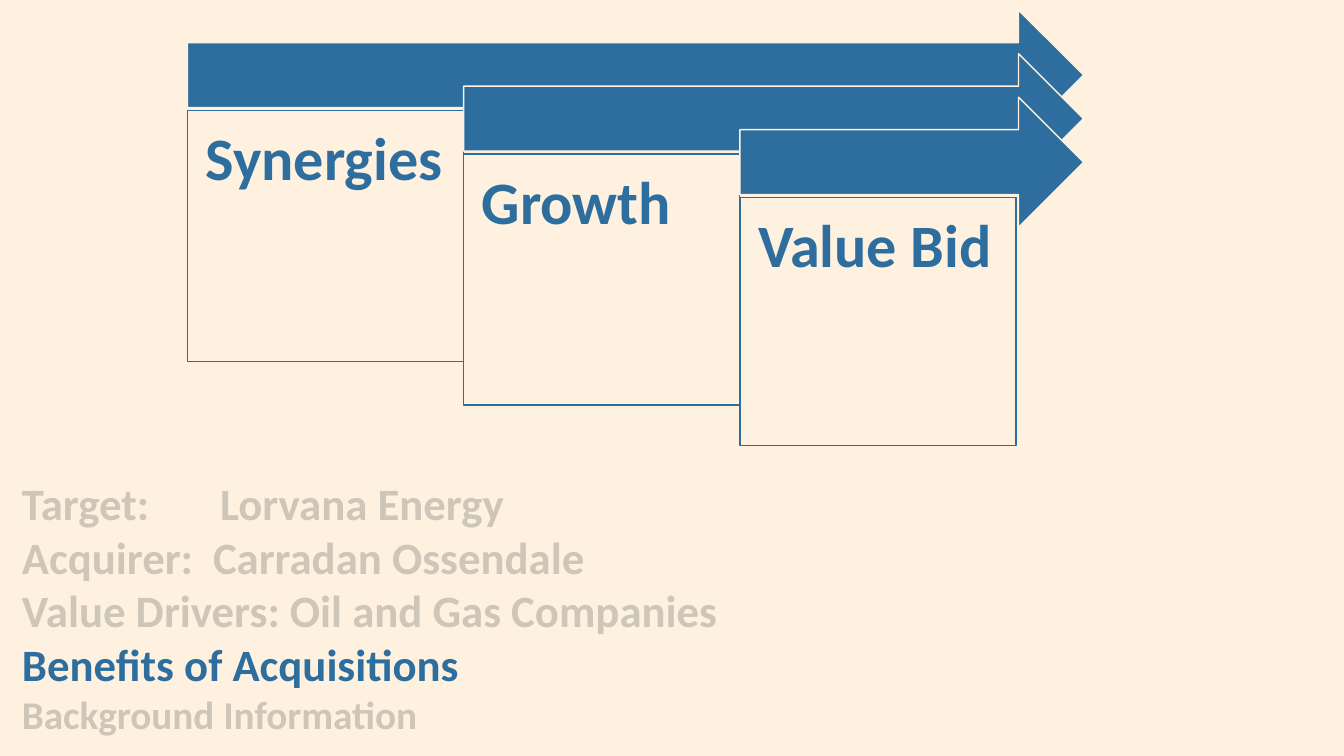
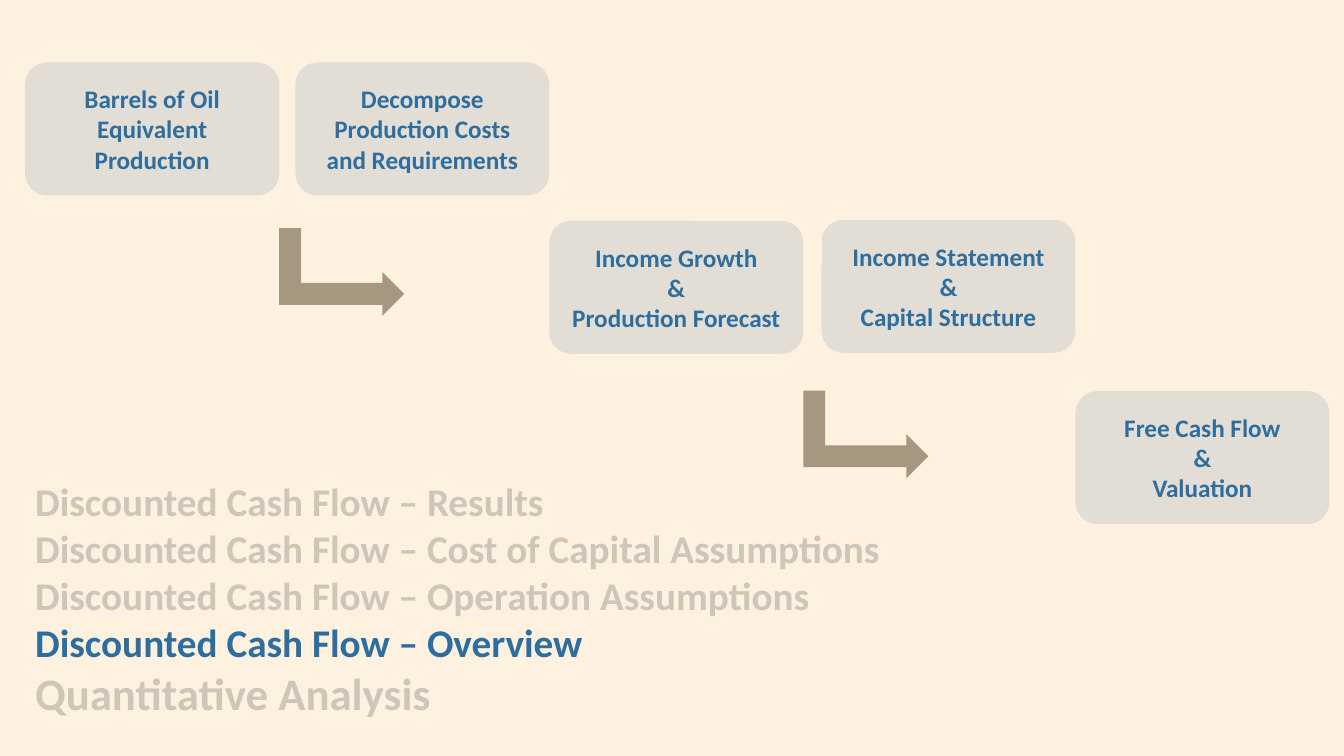
from pptx import Presentation
from pptx.dml.color import RGBColor
from pptx.enum import shapes, text
from pptx.oxml import parse_xml
from pptx.oxml.ns import nsdecls
from pptx.util import Pt

COLORS = {"page": "FFF1E0", "accent": "2E6E9E", "faded": "CEC6B9",
          "card": "E2DDD5", "elbow": "A69780"}
FONT = "Calibri"
SHAPE = shapes.MSO_SHAPE


def color(name):
    """Return the named colour of the deck."""
    return RGBColor.from_string(COLORS[name])


def add_page(prs):
    """Add a blank slide with the shared background."""
    s = prs.slides.add_slide(prs.slide_layouts[6])
    s.background.fill.solid()
    s.background.fill.fore_color.rgb = color("page")
    return s


def add_block(s, kind, box, fill, line=None):
    """Add a flat filled shape, outlined only if a line colour is given."""
    sp = s.shapes.add_shape(kind, *map(Pt, box))
    sp.shadow.inherit = False
    sp.fill.solid()
    sp.fill.fore_color.rgb = color(fill)
    if line:
        sp.line.color.rgb = color(line)
        sp.line.width = Pt(1)
    else:
        sp.line.fill.background()
    return sp


def write(tf, lines, size, align, ink="accent"):
    """Fill a text frame with bold paragraphs and return them."""
    tf.word_wrap = True
    tf.text = "\n".join(lines)
    for p in tf.paragraphs:
        p.alignment = align
        p.font.name, p.font.size, p.font.bold = FONT, Pt(size), True
        p.font.color.rgb = color(ink)
    return tf.paragraphs


def add_agenda(s, box, lines, size, last_size, tabs=()):
    """List the sections, highlighting the one before the last."""
    tf = s.shapes.add_textbox(*map(Pt, box)).text_frame
    paragraphs = write(tf, lines, size, text.PP_ALIGN.LEFT, "faded")
    tf.auto_size = text.MSO_AUTO_SIZE.SHAPE_TO_FIT_TEXT
    paragraphs[-2].font.color.rgb = color("accent")
    paragraphs[-1].font.size = Pt(last_size)
    for p, stop in zip(paragraphs, tabs):
        pPr = p._p.get_or_add_pPr()
        pPr.insert(0, parse_xml(
            f'<a:tabLst {nsdecls("a")}><a:tab pos="{Pt(stop)}" algn="l"/></a:tabLst>'))


def add_benefits(s, box, benefits):
    """Stack arrows that share a right end, each with a card under its tail."""
    left, top, width, height = box
    card_w, arrow_h, step, drop = 197.3, 92.9, 31.1, 71.6
    for i, name in enumerate(benefits):
        x, y = left + i * card_w, top + i * step
        add_block(s, SHAPE.RIGHT_ARROW, (x, y, left + width - x, arrow_h),
                  "accent", "page")
        card_h = min(179.3, top + height - y - drop)
        sp = add_block(s, SHAPE.RECTANGLE, (x, y + drop, card_w, card_h),
                       "page", "accent")
        tf = sp.text_frame
        tf.margin_left = tf.margin_right = tf.margin_top = tf.margin_bottom = Pt(13)
        tf.vertical_anchor = text.MSO_ANCHOR.TOP
        write(tf, [name], 43, text.PP_ALIGN.LEFT)[0].line_spacing = 0.9


def add_stage(s, x, y, gap, cards):
    """Place one row of process cards; return the foot of the first card."""
    card_w, card_h = 181.4, 95
    for i, (lines, shift) in enumerate(cards):
        box = x + i * (card_w + gap), y + shift, card_w, card_h
        tf = add_block(s, SHAPE.ROUNDED_RECTANGLE, box, "card").text_frame
        tf.vertical_anchor = text.MSO_ANCHOR.MIDDLE
        write(tf, lines, 18, text.PP_ALIGN.CENTER)
    return x + card_w, y + card_h


def add_elbow(s, x, y):
    """Add a down-then-right arrow whose visible corner is at x, y."""
    w, h = 62.6, 89.3
    offset = (h - w) / 2
    sp = add_block(s, SHAPE.BENT_UP_ARROW, (x + offset, y - offset, w, h), "elbow")
    sp.rotation = 90


def benefits_slide(prs):
    """Build the slide on the benefits of acquisitions."""
    s = add_page(prs)
    add_agenda(s, (8.6, 336.2, 572.4, 196.6), [
        "Target:\tLorvana Energy", "Acquirer:\tCarradan Ossendale",
        "Value Drivers: Oil and Gas Companies", "Benefits of Acquisitions",
        "Background Information"], 32, 28, tabs=(141.5, 136.5))
    add_benefits(s, (133.9, 7.2, 640.1, 311), ["Synergies", "Growth", "Value Bid"])


def overview_slide(prs):
    """Build the overview of the discounted cash flow steps."""
    s = add_page(prs)
    topics = ["Results", "Cost of Capital Assumptions", "Operation Assumptions", "Overview"]
    add_agenda(s, (18, 337.3, 668.9, 182), [
        *(f"Discounted Cash Flow – {topic}" for topic in topics),
        "Quantitative Analysis"], 28, 32)
    stages = [
        (18, 44.6, 11.6, [
            (["Barrels of Oil Equivalent Production"], 0),
            (["Decompose", "Production Costs and Requirements"], 0)]),
        (392.4, 157.7, 13, [
            (["Income Growth", "&", "Production Forecast"], 0),
            (["Income Statement", "&", "Capital Structure"], -0.7)]),
        (768.2, 279.4, 0, [(["Free Cash Flow", "&", "Valuation"], 0)])]
    feet = [add_stage(s, *stage) for stage in stages]
    for (x, y), drop in zip(feet, (23.4, 26.3)):
        add_elbow(s, x, y + drop)


prs = Presentation()
prs.slide_width, prs.slide_height = Pt(960), Pt(540)
benefits_slide(prs)
overview_slide(prs)
prs.save("out.pptx")
